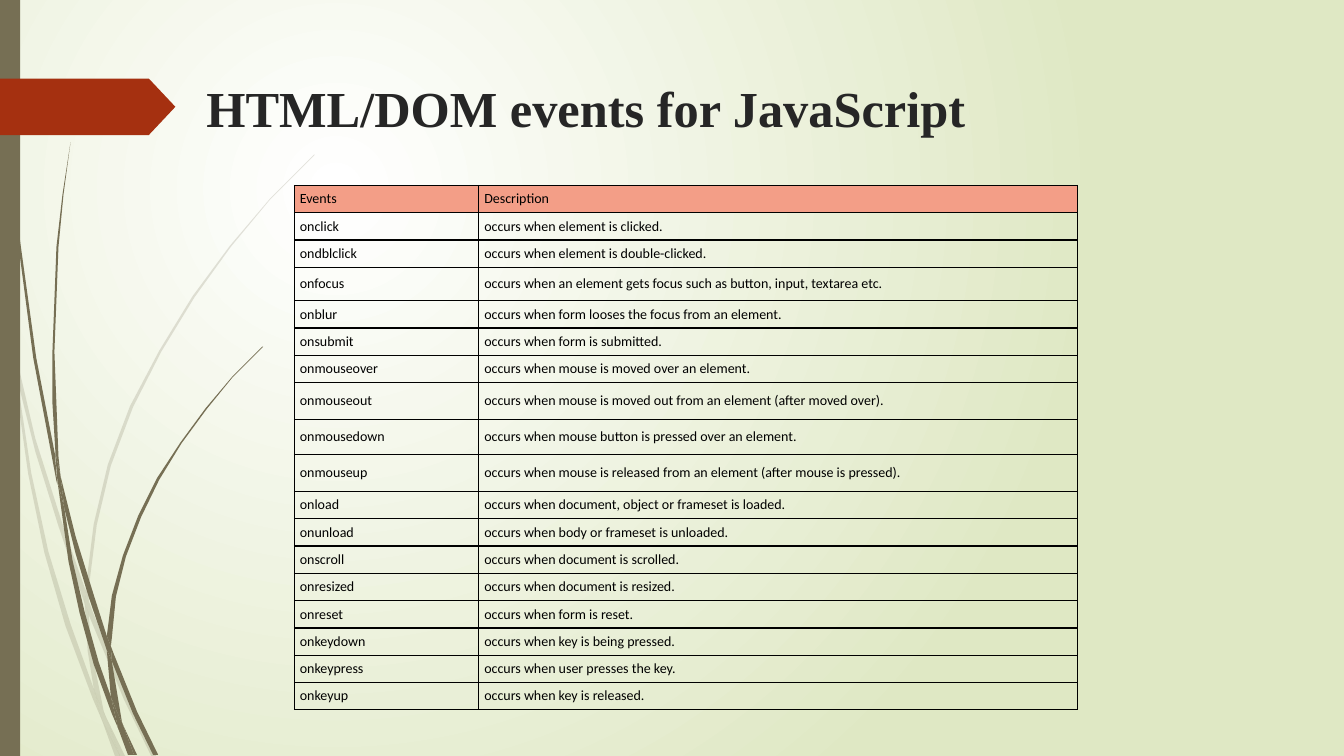
from pptx import Presentation
from lxml.etree import SubElement
from pptx.dml.color import RGBColor
from pptx.enum.shapes import MSO_SHAPE as SHAPE
from pptx.enum.text import MSO_ANCHOR as ANCHOR
from pptx.oxml import parse_xml
from pptx.oxml.ns import nsdecls, qn
from pptx.util import Inches, Pt

# Grid of 0.1 inch squares: 133.33 columns by 75 rows
COLS, ROWS = 133.33, 75
BROWN, RUST, SALMON, INK = "766F54", "A53010", "F39E87", "262626"

# Pieces of the grass, each an outline of (column, row) corners
PALE_GRASS = [
    [(1.1, 35), (.9, 32.2), (0, 28.2), (0, 29.9), (1, 34.4)],
    [(5.8, 52.2), (8.4, 59.9), (8.5, 58.6), (6.2, 52), (3.5, 43.5), (1.4, 34.5),
     (1.7, 37.6), (3.5, 44.8)],
    [(9.2, 60.7), (8.8, 59.6), (8.8, 61), (12.3, 69.4), (15, 75), (15.5, 75), (12.7, 69.2)],
    [(11.9, 75), (12.4, 75), (10.5, 71.1)],
    [(9.3, 68.3), (7, 61.9), (4.8, 54.7), (3.1, 46.9), (1.7, 37.6), (1.1, 35), (2.8, 47),
     (4.4, 54.8), (6.5, 62.1), (9.2, 69.3), (10.1, 71.4), (9.9, 70.7)],
    [(8.4, 59.9), (8.7, 64.6), (9.3, 68.3), (9.6, 69.2), (10.5, 71.1), (10.3, 70.6),
     (9.1, 64.6), (8.8, 61), (8.8, 60.8)],
    [(8.8, 58.4), (9.6, 52.1), (11, 46.2), (13.2, 40.4), (16, 34.9), (19.3, 29.5),
     (22.9, 24.5), (26.8, 19.8), (31.2, 15.4), (31.2, 15.3), (26.8, 19.7), (22.8, 24.4),
     (19.1, 29.4), (15.8, 34.8), (12.9, 40.3), (10.7, 46.1), (9.3, 52), (8.5, 58.4),
     (8.5, 58.6), (8.8, 59.6)],
    [(10.1, 71.4), (11.4, 75), (11.9, 75)],
    [(8.8, 60.8), (8.8, 61), (8.8, 59.6), (8.5, 58.6), (8.4, 59.9)],
    [(9.6, 69.2), (9.3, 68.3), (9.9, 70.7), (10.1, 71.4), (11.9, 75), (10.5, 71.1)],
]
DARK_GRASS = [
    [(.7, 11), (1.7, 23.3), (3.3, 35.5), (5.6, 47.7), (5.7, 48.1), (5.5, 45.7), (5.5, 45.3),
     (3.6, 35.5), (1.9, 23.2), (.8, 10.9), (.5, 4.8), (.35, 0), (.3, 0), (.4, 4.8)],
    [(8.8, 59.2), (10.6, 64.5), (10.6, 63.1), (9.3, 59), (7.5, 53.2), (6, 47.2),
     (6.4, 50.5), (7.5, 54.9)],
    [(11.3, 64.9), (11, 64.1), (11.1, 65.6), (13.2, 70.8), (15.2, 74.9), (15.7, 74.9),
     (13.6, 70.6)],
    [(11, 69.1), (9.8, 65.7), (8.4, 60.7), (7.2, 55.6), (6.4, 50.5), (5.7, 47.7),
     (6.8, 55.7), (7.9, 60.8), (9.3, 65.9), (11.1, 70.8), (11.7, 72.2), (11.6, 71.7)],
    [(6, 47.2), (5.8, 45.3), (5.4, 34.9), (5.8, 24.5), (6.3, 19.3), (7, 14.1), (6.2, 19.3),
     (5.6, 24.5), (5.2, 34.9), (5.2, 40), (5.5, 44.9)],
    [(13.3, 74.9), (13.6, 74.9), (12.2, 71.9)],
    [(5.7, 47.7), (6.4, 50.5), (6, 47.2), (5.5, 44.9), (5.5, 45.3)],
    [(11.1, 63.3), (11.5, 59.2), (12.5, 55.2), (14, 51.3), (15.8, 47.6), (18, 44),
     (20.5, 40.6), (23.1, 37.4), (26.1, 34.4), (26, 34.4), (23.1, 37.3), (20.4, 40.5),
     (17.9, 43.9), (15.6, 47.4), (13.7, 51.2), (12.2, 55.1), (11.1, 59.1), (10.6, 63.1),
     (11, 64.1)],
    [(11.7, 72.2), (12.7, 74.9), (13.1, 74.9)],
    [(10.6, 64.5), (11, 69.1), (11.6, 70.6), (12.2, 71.9), (12.1, 71.6), (11.1, 65.6),
     (10.9, 65.1)],
    [(10.6, 64.5), (10.9, 65.1), (11.1, 65.6), (11, 64.1), (10.6, 63.1)],
    [(11.6, 70.6), (11, 69.1), (11.6, 71.7), (11.7, 72.2), (13, 74.9), (13.3, 74.9),
     (12.2, 71.9)],
]

EVENTS = [
    ("Events", "Description"),
    ("onclick", "occurs when element is clicked."),
    ("ondblclick", "occurs when element is double-clicked."),
    ("onfocus", "occurs when an element gets focus such as button, input, textarea etc."),
    ("onblur", "occurs when form looses the focus from an element."),
    ("onsubmit", "occurs when form is submitted."),
    ("onmouseover", "occurs when mouse is moved over an element."),
    ("onmouseout", "occurs when mouse is moved out from an element (after moved over)."),
    ("onmousedown", "occurs when mouse button is pressed over an element."),
    ("onmouseup", "occurs when mouse is released from an element (after mouse is pressed)."),
    ("onload", "occurs when document, object or frameset is loaded."),
    ("onunload", "occurs when body or frameset is unloaded."),
    ("onscroll", "occurs when document is scrolled."),
    ("onresized", "occurs when document is resized."),
    ("onreset", "occurs when form is reset."),
    ("onkeydown", "occurs when key is being pressed."),
    ("onkeypress", "occurs when user presses the key."),
    ("onkeyup", "occurs when key is released."),
]
ROW_HEIGHT = 2.71
TALL_ROWS = {"onfocus": 3.3, "onmouseout": 3.65, "onmousedown": 3.5, "onmouseup": 3.65}


def grid(*units):
    return [Inches(u / 10) for u in units]


def rgb(color):
    return RGBColor.from_string(color)


def paint(sp, color, alpha=100):
    sp.shadow.inherit = False
    sp.line.fill.background()
    sp.fill.solid()
    sp.fill.fore_color.rgb = rgb(color)
    if alpha < 100:
        clr = sp._element.spPr.find(qn("a:solidFill"))[0]
        SubElement(clr, qn("a:alpha")).set("val", str(alpha * 1000))


def add_run(p, text, font, size, color, bold=False):
    r = p.add_run()
    r.text = text
    r.font.name, r.font.size, r.font.bold = font, Pt(size), bold
    r.font.color.rgb = rgb(color)
    return r


def set_background(slide):
    fill = slide.background.fill
    fill.gradient()
    for stop, (pos, color) in zip(fill.gradient_stops, [(0, "FFFFFF"), (1, "DFE8C4")]):
        stop.position = pos
        stop.color.rgb = rgb(color)
    lin = next(slide._element.iter(qn("a:lin")))
    lin.getparent().replace(lin, parse_xml(
        f'<a:path {nsdecls("a")} path="circle"><a:fillToRect l="50000" t="50000" '
        'r="100000" b="100000"/></a:path>'))


def add_outline(slide, corners, color, alpha=100):
    start, *others = [grid(x, y) for x, y in corners]
    builder = slide.shapes.build_freeform(*start)
    builder.add_line_segments(others, close=True)
    paint(builder.convert_to_shape(), color, alpha)


def add_block(slide, kind, box, color):
    sp = slide.shapes.add_shape(kind, *grid(*box))
    paint(sp, color)
    return sp


def add_title(slide, text):
    tf = slide.shapes.add_textbox(*grid(19.5, 7.2, 113.8, 14.5)).text_frame
    tf.word_wrap = True
    tf.vertical_anchor = ANCHOR.TOP
    r = add_run(tf.paragraphs[0], text, "Times New Roman", 36, INK, True)
    r.font._element.set("kern", "0")


def add_borders(cell):
    tc_pr = cell._tc.get_or_add_tcPr()
    for i, side in enumerate("LRTB"):
        tc_pr.insert(i, parse_xml(
            f'<a:ln{side} {nsdecls("a")} w="{Pt(1)}"><a:solidFill>'
            f'<a:srgbClr val="000000"/></a:solidFill></a:ln{side}>'))


def fill_cell(cell, text, header):
    cell.margin_left, cell.margin_right = grid(.55, .55)
    cell.margin_top, cell.margin_bottom = grid(.3, .3)
    cell.vertical_anchor = ANCHOR.MIDDLE
    if header:
        cell.fill.solid()
        cell.fill.fore_color.rgb = rgb(SALMON)
    else:
        cell.fill.background()
    add_borders(cell)
    add_run(cell.text_frame.paragraphs[0], text, "Calibri", 10, "000000")


def add_events_table(slide):
    heights = [TALL_ROWS.get(name, ROW_HEIGHT) for name, _ in EVENTS]
    box = grid(29.2, 18.4, 77.7, sum(heights))
    table = slide.shapes.add_table(len(EVENTS), 2, *box).table
    table.first_row = table.horz_banding = False
    for column, width in zip(table.columns, grid(18.3, 59.4)):
        column.width = width
    for i, (row, height) in enumerate(zip(table.rows, grid(*heights))):
        row.height = height
        for cell, text in zip(row.cells, EVENTS[i]):
            fill_cell(cell, text, header=i == 0)


def main():
    prs = Presentation()
    prs.slide_width, prs.slide_height = grid(COLS, ROWS)
    slide = prs.slides.add_slide(prs.slide_layouts[6])
    set_background(slide)
    # Grass and side bar
    for pieces, alpha in ((PALE_GRASS, 20), (DARK_GRASS, 100)):
        for corners in pieces:
            add_outline(slide, corners, BROWN, alpha)
    add_block(slide, SHAPE.RECTANGLE, (0, 0, 2, ROWS), BROWN)
    # Title with its arrow tag
    tag = add_block(slide, SHAPE.PENTAGON, (0, 7.8, 17.4, 5.6), RUST)
    tag.adjustments[0] = .47
    add_title(slide, "HTML/DOM events for JavaScript")
    add_events_table(slide)
    prs.save("out.pptx")


if __name__ == "__main__":
    main()
